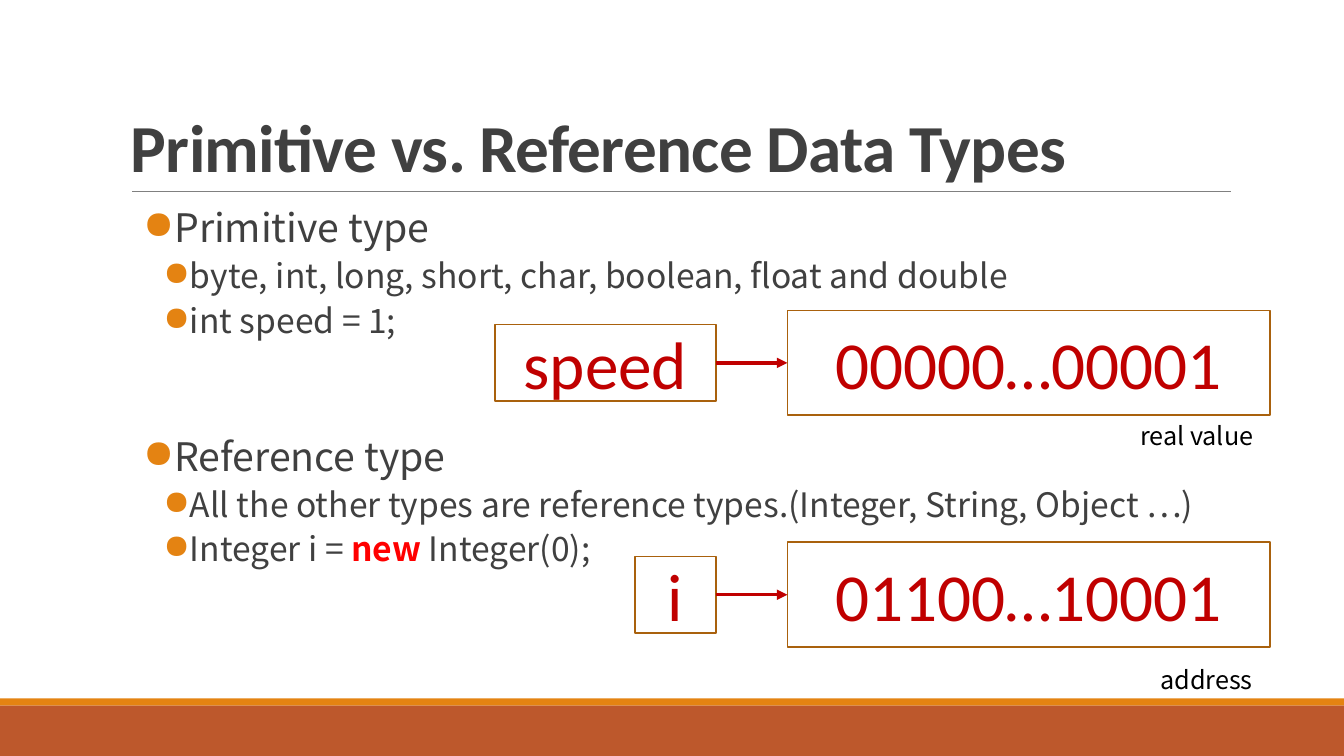
from dataclasses import dataclass

from lxml import etree
from pptx import Presentation
from pptx.dml.color import RGBColor
from pptx.enum.shapes import MSO_CONNECTOR, MSO_SHAPE
from pptx.enum.text import MSO_ANCHOR, PP_ALIGN
from pptx.oxml.ns import qn
from pptx.util import Inches, Pt

RECTANGLE = MSO_SHAPE.RECTANGLE
STRAIGHT = MSO_CONNECTOR.STRAIGHT
MIDDLE, BOTTOM = MSO_ANCHOR.MIDDLE, MSO_ANCHOR.BOTTOM
CENTER = PP_ALIGN.CENTER
LEFT_SIDE, RIGHT_SIDE = 1, 3


@dataclass(frozen=True)
class Theme:
    heading_font: str = "Calibri"
    body_font: str = "Noto Sans CJK SC"
    text: str = "404040"
    caption: str = "000000"
    keyword: str = "FF0000"
    accent: str = "E48312"
    footer: str = "BD582C"
    rule: str = "808080"
    box_line: str = "A9610D"
    memory: str = "C00000"
    large_size: int = 48
    topic_size: int = 28
    detail_size: int = 24
    caption_size: int = 18


THEME = Theme()


def color(value):
    return RGBColor.from_string(value)


def style_run(run, font, size, value, bold=False):
    run.font.name = font
    run.font.size = Pt(size)
    run.font.color.rgb = color(value)
    run.font.bold = bold


def add_text_frame(slide, left, top, width, height):
    box = slide.shapes.add_textbox(Inches(left), Inches(top), Inches(width), Inches(height))
    box.text_frame.word_wrap = True
    return box.text_frame


def add_rectangle(slide, left, top, width, height):
    shape = slide.shapes.add_shape(
        RECTANGLE, Inches(left), Inches(top), Inches(width), Inches(height))
    shape.shadow.inherit = False
    return shape


def add_line(slide, start, end, value, width):
    line = slide.shapes.add_connector(STRAIGHT, *(Inches(length) for length in start + end))
    line.line.color.rgb = color(value)
    line.line.width = Pt(width)
    etree.SubElement(line._element.spPr, qn("a:effectLst"))
    return line


def add_footer(slide, top, width, height):
    stripe_height = 0.07
    bands = ((top, stripe_height, THEME.accent),
             (top + stripe_height, height - stripe_height, THEME.footer))
    for band_top, band_height, fill in bands:
        band = add_rectangle(slide, 0, band_top, width, band_height)
        band.fill.solid()
        band.fill.fore_color.rgb = color(fill)
        band.line.fill.background()


def add_title(slide, text, left, top, width, height):
    frame = add_text_frame(slide, left, top, width, height)
    frame.vertical_anchor = BOTTOM
    paragraph = frame.paragraphs[0]
    paragraph.text = text
    paragraph.line_spacing = 0.85
    run = paragraph.runs[0]
    style_run(run, THEME.heading_font, THEME.large_size, THEME.text, bold=True)
    run.font._element.set("spc", "-50")
    bottom = top + height
    add_line(slide, (left + 0.11, bottom), (left + width + 0.01, bottom), THEME.rule, 0.5)


def format_bullet(paragraph, margin):
    paragraph.line_spacing = 0.9
    paragraph.space_before = Pt(2)
    paragraph.space_after = Pt(4)
    properties = paragraph._p.get_or_add_pPr()
    properties.set("marL", str(Inches(margin)))
    properties.set("indent", str(Inches(-0.2)))
    bullet_color = etree.SubElement(properties, qn("a:buClr"))
    etree.SubElement(bullet_color, qn("a:srgbClr"), val=THEME.accent)
    etree.SubElement(properties, qn("a:buChar"), char="●")


def add_topic(slide, topic, details, left, top, width, height):
    """Add a topic with its details; each detail is a list of (text, is_keyword)."""
    frame = add_text_frame(slide, left, top, width, height)
    frame.margin_left = frame.margin_right = 0
    heading = frame.paragraphs[0]
    heading.text = topic
    style_run(heading.runs[0], THEME.body_font, THEME.topic_size, THEME.text)
    format_bullet(heading, 0.42)
    for pieces in details:
        paragraph = frame.add_paragraph()
        paragraph.level = 1
        for text, is_keyword in pieces:
            run = paragraph.add_run()
            run.text = text
            style_run(run, THEME.body_font, THEME.detail_size,
                      THEME.keyword if is_keyword else THEME.text, is_keyword)
        format_bullet(paragraph, 0.62)


def add_memory_box(slide, text, left, top, width, height):
    shape = add_rectangle(slide, left, top, width, height)
    shape.fill.background()
    shape.line.color.rgb = color(THEME.box_line)
    shape.line.width = Pt(1.25)
    frame = shape.text_frame
    frame.vertical_anchor = MIDDLE
    frame.text = text
    paragraph = frame.paragraphs[0]
    paragraph.alignment = CENTER
    style_run(paragraph.runs[0], THEME.heading_font, THEME.large_size, THEME.memory)
    return shape


def add_variable(slide, name, bits, name_width, left, top, width, height):
    """Draw a variable name pointing to its memory cell, both inside the given box."""
    cell_width, name_height, gap = 4.79, 0.76, 0.71
    cell_left = left + width - cell_width
    name_right = cell_left - gap
    middle = top + height / 2
    cell = add_memory_box(slide, bits, cell_left, top, cell_width, height)
    label = add_memory_box(slide, name, name_right - name_width,
                           middle - name_height / 2, name_width, name_height)
    arrow = add_line(slide, (name_right, middle), (cell_left, middle), THEME.memory, 2.5)
    arrow.begin_connect(label, RIGHT_SIDE)
    arrow.end_connect(cell, LEFT_SIDE)
    etree.SubElement(arrow.line._get_or_add_ln(), qn("a:tailEnd"), type="triangle")


def add_caption(slide, text, left, top):
    frame = add_text_frame(slide, left, top, 1.4, 0.4)
    frame.text = text
    style_run(frame.paragraphs[0].runs[0], THEME.body_font,
              THEME.caption_size, THEME.caption)


def main():
    presentation = Presentation()
    presentation.slide_width = Inches(13.33)
    presentation.slide_height = Inches(7.5)
    slide = presentation.slides.add_slide(presentation.slide_layouts[6])

    add_footer(slide, 6.93, 13.33, 0.57)
    add_title(slide, "Primitive vs. Reference Data Types", 1.2, 0.31, 11, 1.59)

    add_topic(slide, "Primitive type", [
        [("byte, int, long, short, char, boolean, float and double", False)],
        [("int speed = 1;", False)],
    ], 1.2, 2.02, 11, 1.5)
    add_topic(slide, "Reference type", [
        [("All the other types are reference types.(Integer, String, Object …)", False)],
        [("Integer i = ", False), ("new ", True), ("Integer(0);", False)],
    ], 1.2, 4.29, 11, 1.5)

    add_variable(slide, "speed", "00000…00001", 2.19, 4.91, 3.08, 7.69, 1.04)
    add_caption(slide, "real value", 11.21, 4.12)
    add_variable(slide, "i", "01100…10001", 0.8, 4.91, 5.38, 7.69, 1.04)
    add_caption(slide, "address", 11.41, 6.54)

    presentation.save("out.pptx")


if __name__ == "__main__":
    main()
